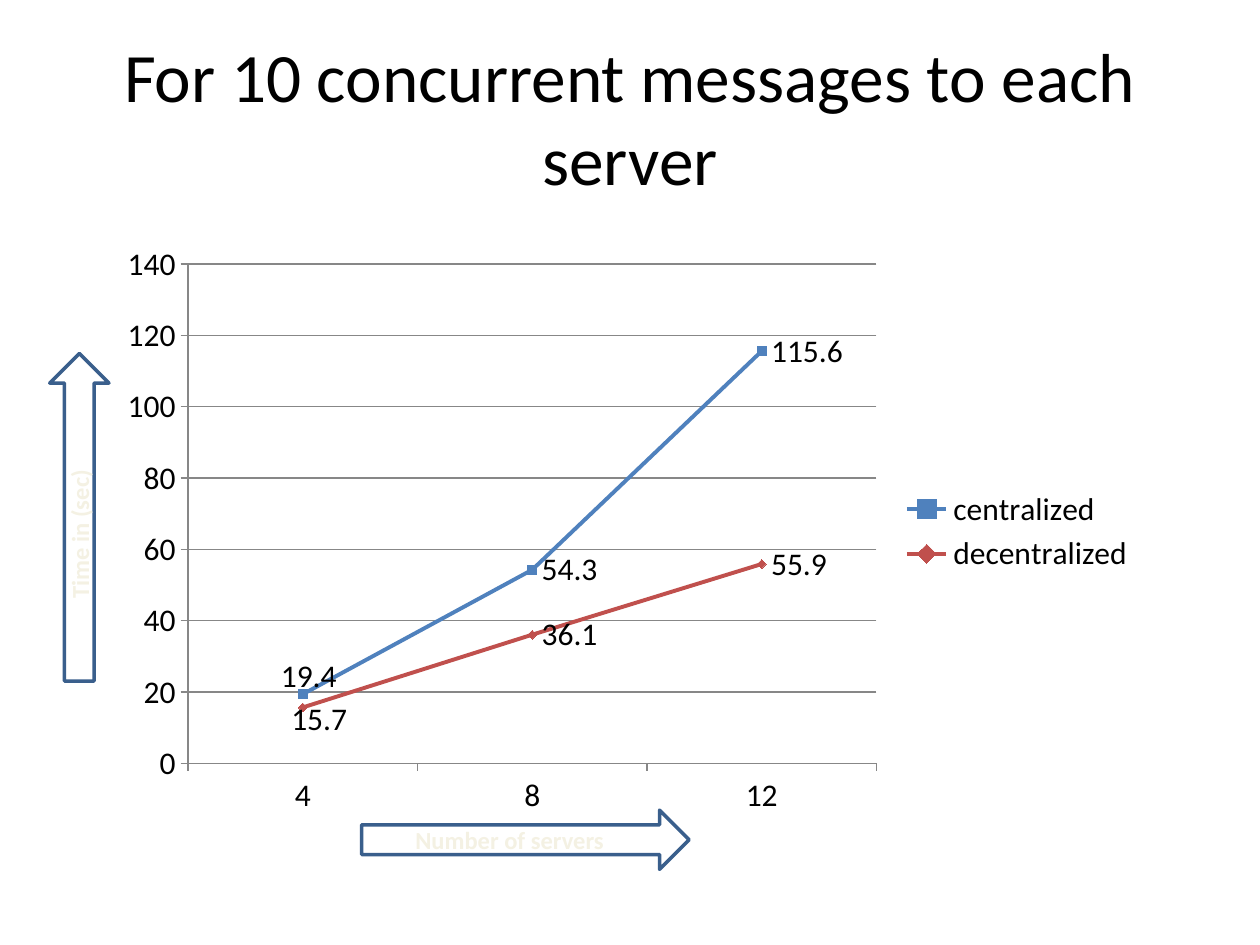
from dataclasses import dataclass

from lxml import etree
from pptx import Presentation
from pptx.chart.data import CategoryChartData
from pptx.dml.color import RGBColor
from pptx.enum.chart import XL_CHART_TYPE as ChartType
from pptx.enum.chart import XL_LABEL_POSITION as LabelPosition
from pptx.enum.chart import XL_LEGEND_POSITION as LegendPosition
from pptx.enum.chart import XL_TICK_MARK as TickMark
from pptx.enum.shapes import MSO_SHAPE as Preset
from pptx.enum.text import MSO_ANCHOR as Anchor
from pptx.enum.text import MSO_AUTO_SIZE as AutoSize
from pptx.enum.text import PP_ALIGN as Align
from pptx.oxml import parse_xml
from pptx.oxml.ns import nsdecls, qn
from pptx.util import Inches, Pt


@dataclass(frozen=True)
class Theme:
    font: str = "Calibri"
    title_size: float = 39.6
    chart_size: float = 18
    caption_size: float = 14
    text: str = "000000"
    caption: str = "F4F1E3"
    caption_outline: str = "054697"
    arrow: str = "3A5F8C"
    grid: str = "878787"
    series: tuple = ("4F81BD", "C0504D")


THEME = Theme()
SERVERS = ("4", "8", "12")
TIMES = {"centralized": (19.4, 54.3, 115.6), "decentralized": (15.7, 36.1, 55.9)}
# Shift of each first label, as a share of the chart size
FIRST_LABEL_SHIFTS = ((-0.03, -0.03), (-0.02, 0.02))


def style_font(font, size, color, bold=False):
    font.name, font.size, font.bold = THEME.font, Pt(size), bold
    font.color.rgb = RGBColor.from_string(color)


def style_line(line, color, width):
    line.color.rgb = RGBColor.from_string(color)
    line.width = Pt(width)


def add_text(shapes, text, box, size, color, bold=False, wrap=True):
    shape = shapes.add_textbox(*map(Inches, box))
    frame = shape.text_frame
    frame.word_wrap = wrap
    frame.auto_size = AutoSize.NONE if wrap else AutoSize.SHAPE_TO_FIT_TEXT
    frame.vertical_anchor = Anchor.MIDDLE if wrap else Anchor.TOP
    paragraph = frame.paragraphs[0]
    paragraph.text = text
    paragraph.alignment = Align.CENTER
    style_font(paragraph.font, size, color, bold)
    return shape


def add_arrow_caption(slide, text, arrow_box, text_box, rotation=0):
    shapes = slide.shapes.add_group_shape().shapes
    arrow = shapes.add_shape(Preset.RIGHT_ARROW, *map(Inches, arrow_box))
    arrow.shadow.inherit = False
    arrow.fill.background()
    style_line(arrow.line, THEME.arrow, 2)
    caption = add_text(shapes, text, text_box, THEME.caption_size, THEME.caption,
                       bold=True, wrap=False)
    arrow.rotation = caption.rotation = rotation
    # Thin outline around the letters
    run = caption.text_frame.paragraphs[0].runs[0]
    run._r.get_or_add_rPr().insert(0, parse_xml(
        f'<a:ln {nsdecls("a")} w="12700"><a:solidFill>'
        f'<a:srgbClr val="{THEME.caption_outline}"/></a:solidFill></a:ln>'))


def manual_layout(**values):
    layout = etree.Element(qn("c:layout"))
    manual = etree.SubElement(layout, qn("c:manualLayout"))
    for name, value in values.items():
        etree.SubElement(manual, qn(f"c:{name}")).set("val", str(value))
    return layout


def style_series(series, color, shift):
    style_line(series.format.line, color, 2.25)
    series.smooth = False
    series.marker.style = None
    labels = series.data_labels
    labels.show_value = True
    labels.position = LabelPosition.RIGHT
    # The first label is moved off the line
    series.points[0].data_label.position = LabelPosition.RIGHT
    index = series._element.find(f'.//{qn("c:dLbl")}/{qn("c:idx")}')
    index.addnext(manual_layout(x=shift[0], y=shift[1]))


def add_time_chart(slide, box):
    data = CategoryChartData()
    data.categories = SERVERS
    for name, values in TIMES.items():
        data.add_series(name, values)
    chart = slide.shapes.add_chart(ChartType.LINE, *map(Inches, box), data).chart
    style_font(chart.font, THEME.chart_size, THEME.text)
    chart.has_title = False
    chart.has_legend = True
    chart.legend.position = LegendPosition.RIGHT
    chart.legend.include_in_layout = False

    # Axes and grid
    for axis in (chart.category_axis, chart.value_axis):
        axis.major_tick_mark = TickMark.OUTSIDE
        axis.minor_tick_mark = TickMark.NONE
        style_line(axis.format.line, THEME.grid, 0.75)
    value_axis = chart.value_axis
    value_axis.minimum_scale, value_axis.maximum_scale = 0, 140
    value_axis.major_unit = 20
    value_axis.has_major_gridlines = True
    style_line(value_axis.major_gridlines.format.line, THEME.grid, 0.75)

    # Lines and labels
    plot = chart.plots[0]
    plot.vary_by_categories = False
    for series, color, shift in zip(plot.series, THEME.series, FIRST_LABEL_SHIFTS):
        style_series(series, color, shift)

    # Plot area
    plot_area = chart._chartSpace.find(f'.//{qn("c:plotArea")}')
    for layout in plot_area.findall(qn("c:layout")):
        plot_area.remove(layout)
    plot_area.insert(0, manual_layout(layoutTarget="inner", xMode="edge", yMode="edge",
                                      x=0.08, y=0.05, w=0.66, h=0.84))


def main():
    presentation = Presentation()
    presentation.slide_width, presentation.slide_height = Inches(10), Inches(7.5)
    slide = presentation.slides.add_slide(presentation.slide_layouts[6])

    add_text(slide.shapes, "For 10 concurrent messages to each server",
             (0.5, 0.3, 9, 1.25), THEME.title_size, THEME.text)
    add_time_chart(slide, (0.83, 1.86, 8.28, 4.72))

    # Axis captions
    add_arrow_caption(slide, "Number of servers",
                      (2.87, 6.43, 2.6, 0.47), (3.19, 6.5, 1.71, 0.34))
    add_arrow_caption(slide, "Time in (sec)",
                      (-0.67, 3.87, 2.6, 0.47), (0.02, 4.07, 1.23, 0.34), rotation=270)

    presentation.save("out.pptx")


if __name__ == "__main__":
    main()
